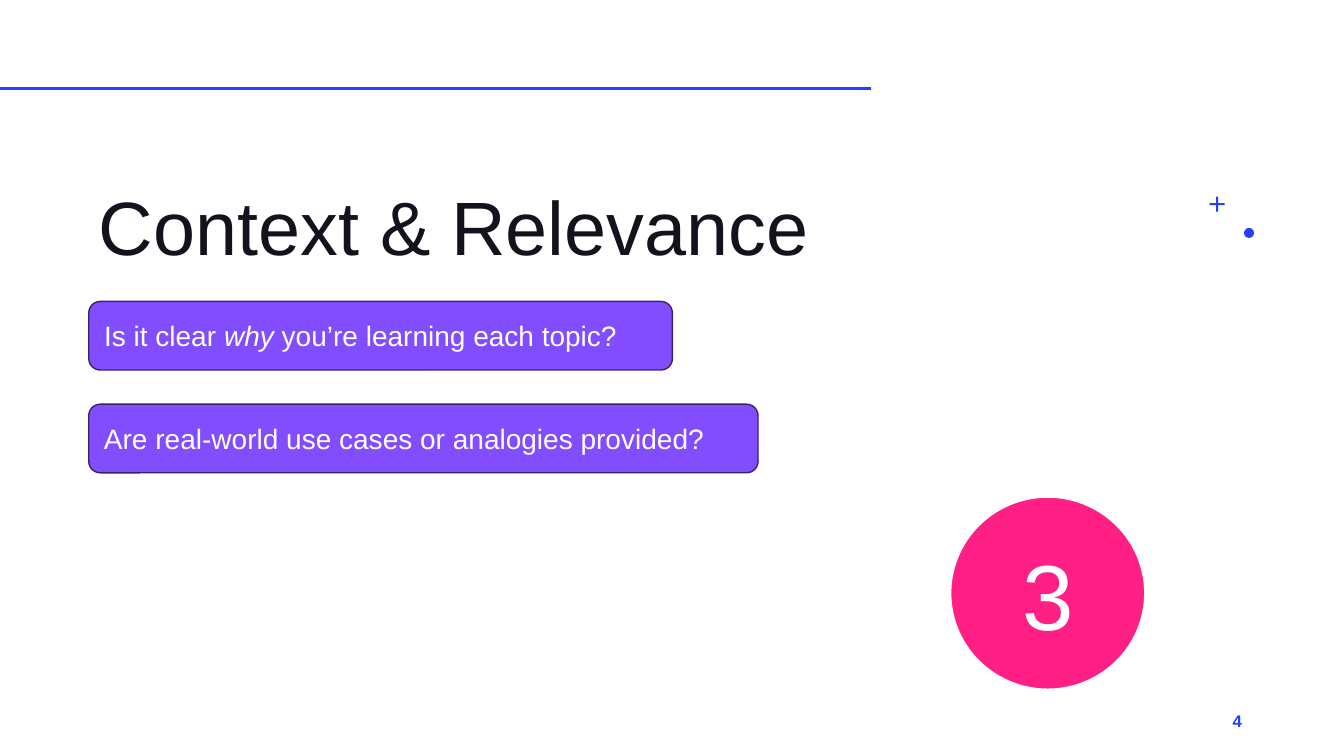
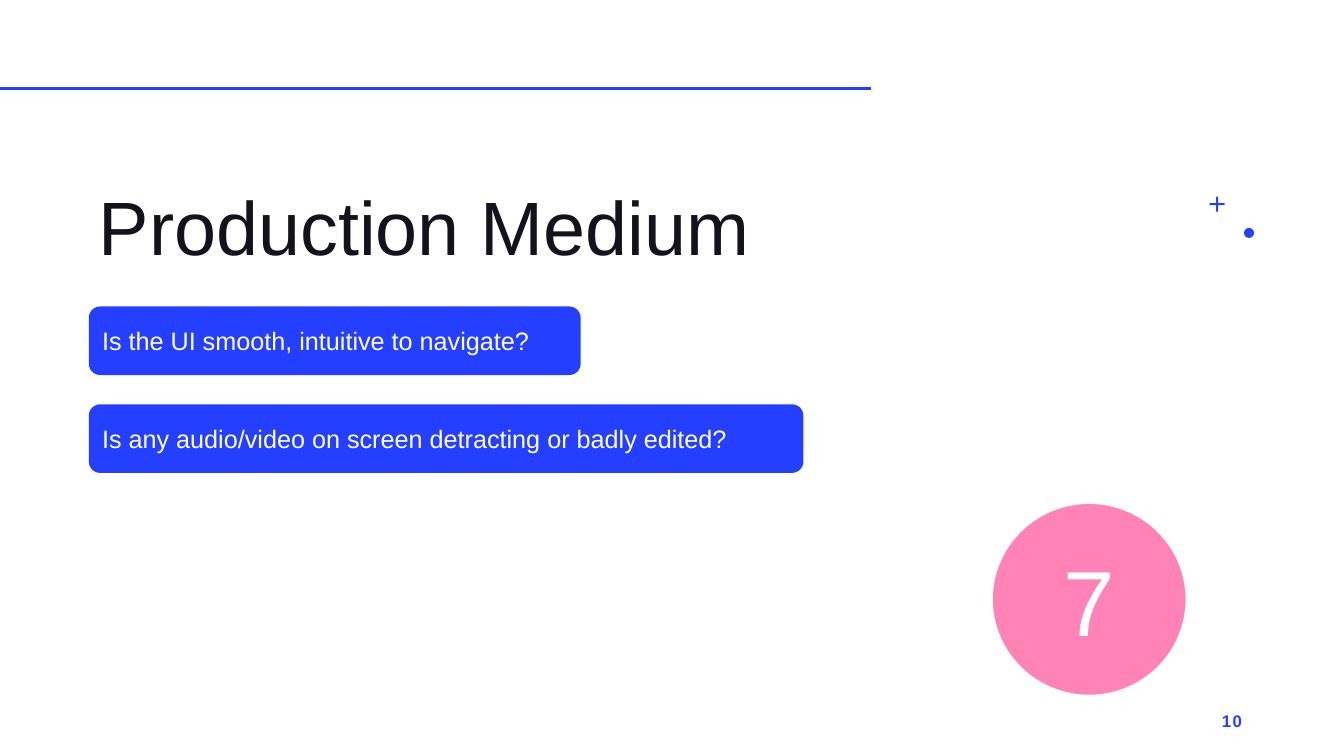
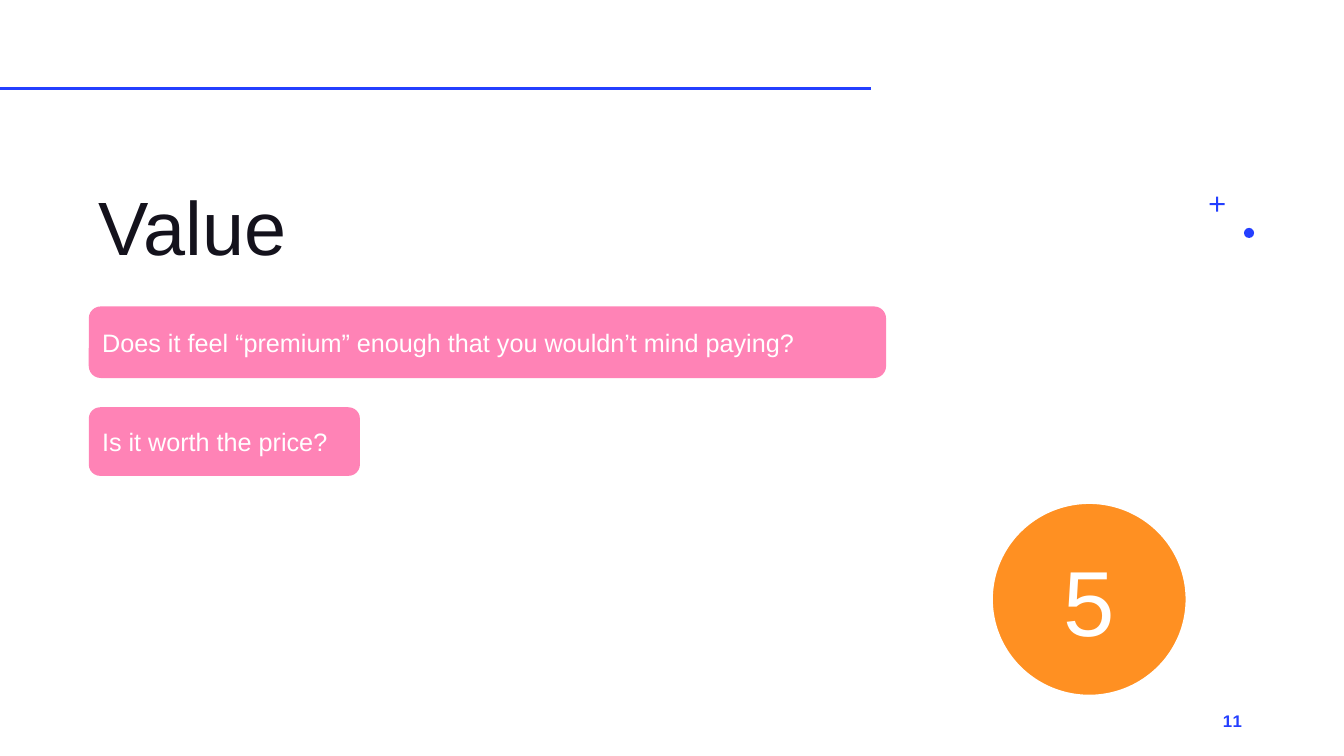
from collections import namedtuple

from lxml.etree import SubElement
from pptx import Presentation
from pptx.dml.color import RGBColor
from pptx.enum.shapes import MSO_CONNECTOR, MSO_SHAPE
from pptx.enum.text import MSO_ANCHOR, PP_ALIGN
from pptx.oxml.ns import qn
from pptx.util import Pt

FONT = "Arial"
COLORS = {
    "blue": "243FFF",
    "violet": "814DFF",
    "dark_violet": "392270",
    "magenta": "FF1F85",
    "pink": "FF83B6",
    "orange": "FF9022",
    "ink": "14121C",
    "white": "FFFFFF",
}

Box = namedtuple("Box", "left top width height")
PAGE = Box(0, 0, 960, 540)
TITLE = Box(63.4, 105.1, 569.5, 92.9)
SPARK = Box(864, 140.4, 31.8, 29.6)
PAGE_NUMBER = Box(678.2, 500.4, 216, 28.8)

# Each question is a tuple of spans; every second span is italic.
Question = namedtuple("Question", "spans width height", defaults=(49,))
Criterion = namedtuple(
    "Criterion",
    "title number page_number badge badge_color pill_color pill_line "
    "pill_top pill_gap pill_inset text_size questions")

CRITERIA = [
    Criterion("Context & Relevance", "3", "4", Box(678.2, 354.2, 140.4, 139),
              "magenta", "violet", "dark_violet", 215.3, 24.4, 8.5, 20,
              [Question(("Is it clear ", "why", " you’re learning each topic?"), 416.9),
               Question(("Are real‑world use cases or analogies provided?",), 478.1)]),
    Criterion("Production Medium", "7", "10", Box(707.8, 358.6, 140.4, 139),
              "pink", "blue", None, 218.9, 20.9, 7.2, 18,
              [Question(("Is the UI smooth, intuitive to navigate?",), 351.4),
               Question(("Is any audio/video on screen detracting or badly edited?",), 510.5)]),
    Criterion("Value", "5", "11", Box(707.8, 358.6, 140.4, 139),
              "orange", "pink", None, 218.9, 20.9, 7.2, 18,
              [Question(("Does it feel “premium” enough that you wouldn’t mind paying?",),
                        569.5, 51.1),
               Question(("Is it worth the price?",), 193.7)]),
]


def color(name):
    return RGBColor.from_string(COLORS[name])


def in_points(box):
    return [Pt(length) for length in box]


def add_filled(page, preset, box, fill, line=None, line_width=1):
    shape = page.shapes.add_shape(preset, *in_points(box))
    shape.shadow.inherit = False
    shape.fill.solid()
    shape.fill.fore_color.rgb = color(fill)
    if line:
        shape.line.color.rgb = color(line)
        shape.line.width = Pt(line_width)
    else:
        shape.line.fill.background()
    return shape


def write(shape, spans, size, ink, align=PP_ALIGN.LEFT, anchor=MSO_ANCHOR.MIDDLE):
    """Fill the shape with one paragraph and return it."""
    frame = shape.text_frame
    frame.word_wrap = True
    frame.vertical_anchor = anchor
    paragraph = frame.paragraphs[0]
    paragraph.alignment = align
    for index, text in enumerate(spans):
        span = paragraph.add_run()
        span.text = text
        span.font.name = FONT
        span.font.size = Pt(size)
        span.font.color.rgb = color(ink)
        if index % 2:
            span.font.italic = True
    return paragraph


def add_rule(page):
    rule = page.shapes.add_connector(
        MSO_CONNECTOR.STRAIGHT, Pt(0), Pt(63.4), Pt(622), Pt(63.4))
    rule.line.color.rgb = color("blue")
    rule.line.width = Pt(2)
    SubElement(rule._element.spPr, qn("a:effectLst"))


def add_spark(page, box):
    """Plus at the top left of the box, dot at its bottom right."""
    plus, dot = 10.8, 7.2
    cross = add_filled(page, MSO_SHAPE.CROSS,
                       Box(box.left, box.top, plus, plus), "blue")
    cross.adjustments[0] = 0.43
    add_filled(page, MSO_SHAPE.OVAL,
               Box(box.left + box.width - dot, box.top + box.height - dot, dot, dot),
               "blue")


def add_title(page, box, text):
    title = page.shapes.add_textbox(*in_points(box))
    paragraph = write(title, [text], 54, "ink", anchor=MSO_ANCHOR.BOTTOM)
    paragraph.line_spacing = 0.9


def add_page_number(page, box, text):
    number = page.shapes.add_textbox(*in_points(box))
    span = write(number, [text], 12, "blue", PP_ALIGN.RIGHT).runs[0]
    span.font.bold = True
    span._r.get_or_add_rPr().set("spc", "100")


def add_badge(page, box, text, fill):
    badge = add_filled(page, MSO_SHAPE.OVAL, box, fill, "white", 2.75)
    write(badge, [text], 66, "white", PP_ALIGN.CENTER)


def add_questions(page, left, criterion):
    """Stack the pills downwards with an equal gap."""
    top = criterion.pill_top
    for question in criterion.questions:
        box = Box(left, top, question.width, question.height)
        pill = add_filled(page, MSO_SHAPE.ROUNDED_RECTANGLE, box,
                          criterion.pill_color, criterion.pill_line)
        pill.text_frame.margin_left = Pt(criterion.pill_inset)
        write(pill, question.spans, criterion.text_size, "white")
        top += question.height + criterion.pill_gap


def add_criterion_page(deck, criterion):
    page = deck.slides.add_slide(deck.slide_layouts[6])
    # Shared decoration
    add_rule(page)
    add_spark(page, SPARK)
    # Content
    add_title(page, TITLE, criterion.title)
    add_questions(page, TITLE.left, criterion)
    add_badge(page, criterion.badge, criterion.number, criterion.badge_color)
    # Footer
    add_page_number(page, PAGE_NUMBER, criterion.page_number)


def main():
    deck = Presentation()
    deck.slide_width = Pt(PAGE.width)
    deck.slide_height = Pt(PAGE.height)
    for criterion in CRITERIA:
        add_criterion_page(deck, criterion)
    deck.save("out.pptx")


if __name__ == "__main__":
    main()
